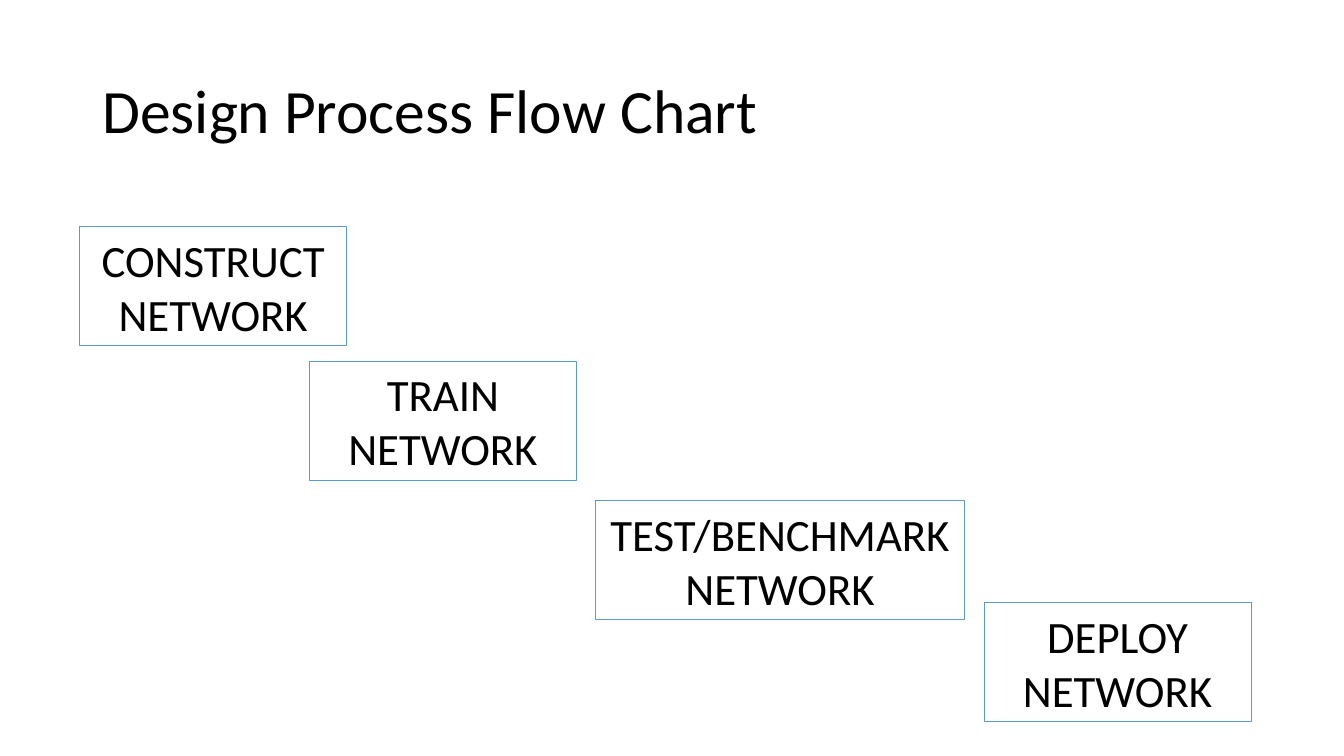
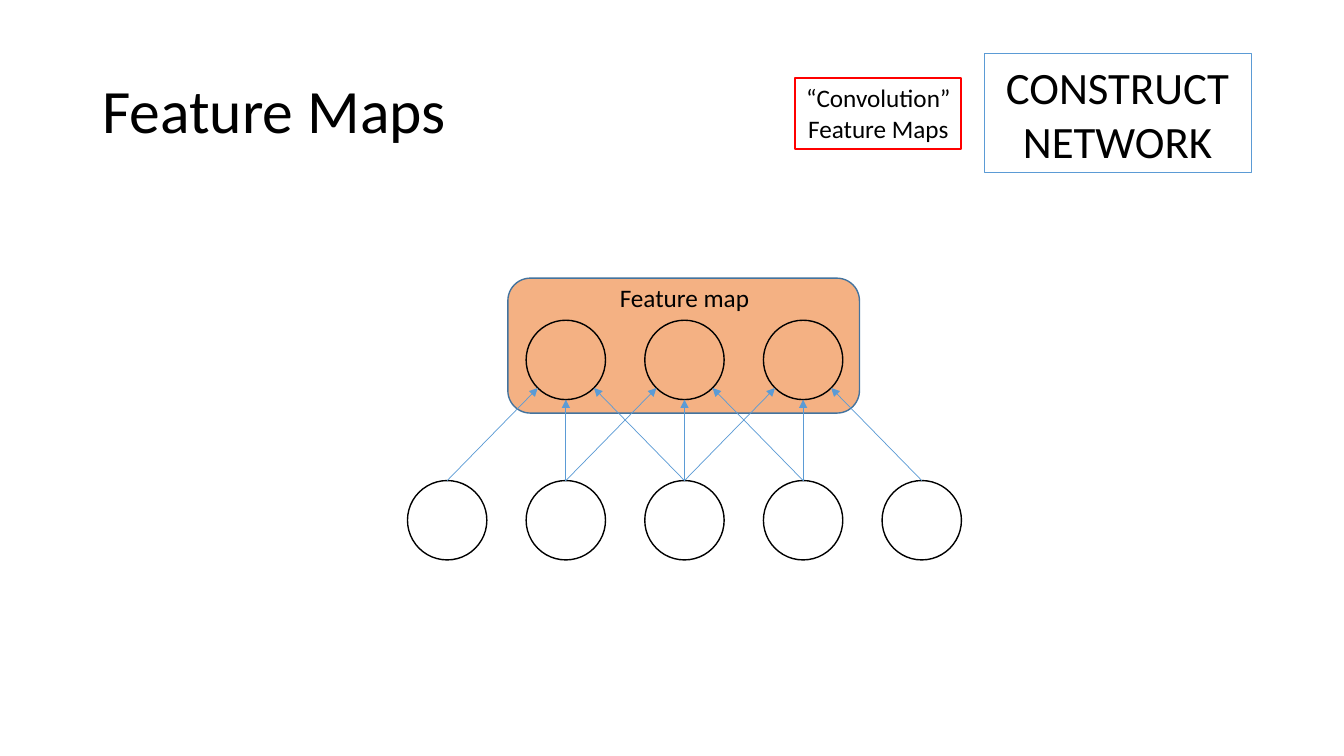
from dataclasses import dataclass
from math import cos, pi, sin

from lxml.etree import SubElement
from pptx import Presentation
from pptx.dml.color import RGBColor
from pptx.enum.shapes import MSO_CONNECTOR, MSO_SHAPE
from pptx.enum.text import MSO_ANCHOR, MSO_AUTO_SIZE, PP_ALIGN
from pptx.oxml.ns import qn
from pptx.util import Cm, Pt


@dataclass(frozen=True)
class Theme:
    """Colours, font and type sizes shared by the slides."""

    font: str = "Calibri"
    text: str = "000000"
    blue: str = "5B9BD5"
    dark_blue: str = "43739E"
    orange: str = "F4B183"
    red: str = "FF0000"
    title_size: float = 44
    stage_size: float = 32
    label_size: float = 18


class Deck:
    """Holds the theme and the current slide, and draws each kind of element."""

    def __init__(self, theme):
        self.theme = theme
        self.presentation = Presentation()
        self.presentation.slide_width = Cm(33.87)
        self.presentation.slide_height = Cm(19.05)
        self.slide = None

    def new_slide(self, title):
        """Start a blank slide with the shared title."""
        self.slide = self.presentation.slides.add_slide(self.presentation.slide_layouts[6])
        shape = self.text_box(title, 2.33, 1.02, 29.21, 3.68, self.theme.title_size,
                              PP_ALIGN.LEFT, MSO_ANCHOR.MIDDLE)
        shape.text_frame.paragraphs[0].line_spacing = 0.9

    def set_text(self, shape, text, size, align, anchor, wrap=True):
        """Put styled text into a shape."""
        frame = shape.text_frame
        frame.text = text
        frame.word_wrap = wrap
        frame.vertical_anchor = anchor
        for paragraph in frame.paragraphs:
            paragraph.alignment = align
            paragraph.font.name = self.theme.font
            paragraph.font.size = Pt(size)
            paragraph.font.color.rgb = RGBColor.from_string(self.theme.text)

    def text_box(self, text, left, top, width, height, size,
                 align=PP_ALIGN.CENTER, anchor=MSO_ANCHOR.TOP):
        """Add a plain text box."""
        shape = self.slide.shapes.add_textbox(Cm(left), Cm(top), Cm(width), Cm(height))
        self.set_text(shape, text, size, align, anchor)
        return shape

    def outline(self, kind, left, top, width, height, line, weight, fill=None):
        """Add an outlined preset shape, filled if a colour is given."""
        shape = self.slide.shapes.add_shape(kind, Cm(left), Cm(top), Cm(width), Cm(height))
        shape.shadow.inherit = False
        if fill:
            shape.fill.solid()
            shape.fill.fore_color.rgb = RGBColor.from_string(fill)
        else:
            shape.fill.background()
        shape.line.color.rgb = RGBColor.from_string(line)
        shape.line.width = Pt(weight)
        return shape

    def stage(self, text, left, top, width=6.73):
        """Add a box for one stage of the design process."""
        shape = self.outline(MSO_SHAPE.RECTANGLE, left, top, width, 3, self.theme.blue, 0.75)
        self.set_text(shape, text, self.theme.stage_size, PP_ALIGN.CENTER, MSO_ANCHOR.MIDDLE)
        shape.text_frame.auto_size = MSO_AUTO_SIZE.SHAPE_TO_FIT_TEXT

    def topic(self, text, left, top, width, height):
        """Add a small red box that names the topic."""
        shape = self.outline(MSO_SHAPE.RECTANGLE, left, top, width, height, self.theme.red, 1.5)
        self.set_text(shape, text, self.theme.label_size, PP_ALIGN.CENTER, MSO_ANCHOR.TOP, False)
        shape.text_frame.auto_size = MSO_AUTO_SIZE.SHAPE_TO_FIT_TEXT

    def neurons(self, count, left, top, pitch=2.99, diameter=2):
        """Add an evenly spaced row of circles."""
        return [self.outline(MSO_SHAPE.OVAL, left + index * pitch, top, diameter, diameter,
                             self.theme.text, 1) for index in range(count)]

    def synapse(self, source, target, site):
        """Connect the top of one neuron to a numbered site of another."""
        arrow = self.slide.shapes.add_connector(MSO_CONNECTOR.STRAIGHT, 0, 0, 0, 0)
        arrow.begin_connect(source, 0)
        arrow.end_connect(target, site % 4)
        properties = arrow._element.spPr
        arrow._element.find(".//" + qn("a:endCxn")).set("idx", str(site))
        angle = site * pi / 4
        radius = target.width / 2
        arrow.end_x = round(target.left + radius * (1 - sin(angle)))
        arrow.end_y = round(target.top + radius * (1 - cos(angle)))
        arrow.line.color.rgb = RGBColor.from_string(self.theme.blue)
        arrow.line.width = Pt(0.5)
        SubElement(properties.find(qn("a:ln")), qn("a:tailEnd"), type="triangle")
        SubElement(properties, qn("a:effectLst"))


def build_process(deck):
    """Draw the stages of the design process."""
    deck.new_slide("Design Process Flow Chart")
    deck.stage("CONSTRUCT NETWORK", 2.01, 5.72)
    deck.stage("TRAIN NETWORK", 7.8, 9.1)
    deck.stage("TEST/BENCHMARK NETWORK", 15.01, 12.62, 9.3)
    deck.stage("DEPLOY NETWORK", 24.8, 15.19)


def build_feature_maps(deck):
    """Draw a feature map fed by overlapping windows of inputs."""
    theme = deck.theme
    deck.new_slide("Feature Maps")
    deck.stage("CONSTRUCT NETWORK", 24.8, 1.36)
    deck.topic("“Convolution”\nFeature Maps", 20.04, 1.96, 4.19, 1.8)
    deck.outline(MSO_SHAPE.ROUNDED_RECTANGLE, 12.8, 7.01, 8.86, 3.4,
                 theme.dark_blue, 1, theme.orange)
    deck.text_box("Feature map", 14.76, 6.99, 4.98, 1.02, theme.label_size)
    inputs = deck.neurons(5, 10.27, 12.11)
    features = deck.neurons(3, 13.26, 8.07)
    lower_sites = (3, 4, 5)
    for index, feature in enumerate(features):
        for source, site in zip(inputs[index:], lower_sites):
            deck.synapse(source, feature, site)


deck = Deck(Theme())
build_process(deck)
build_feature_maps(deck)
deck.presentation.save("out.pptx")
